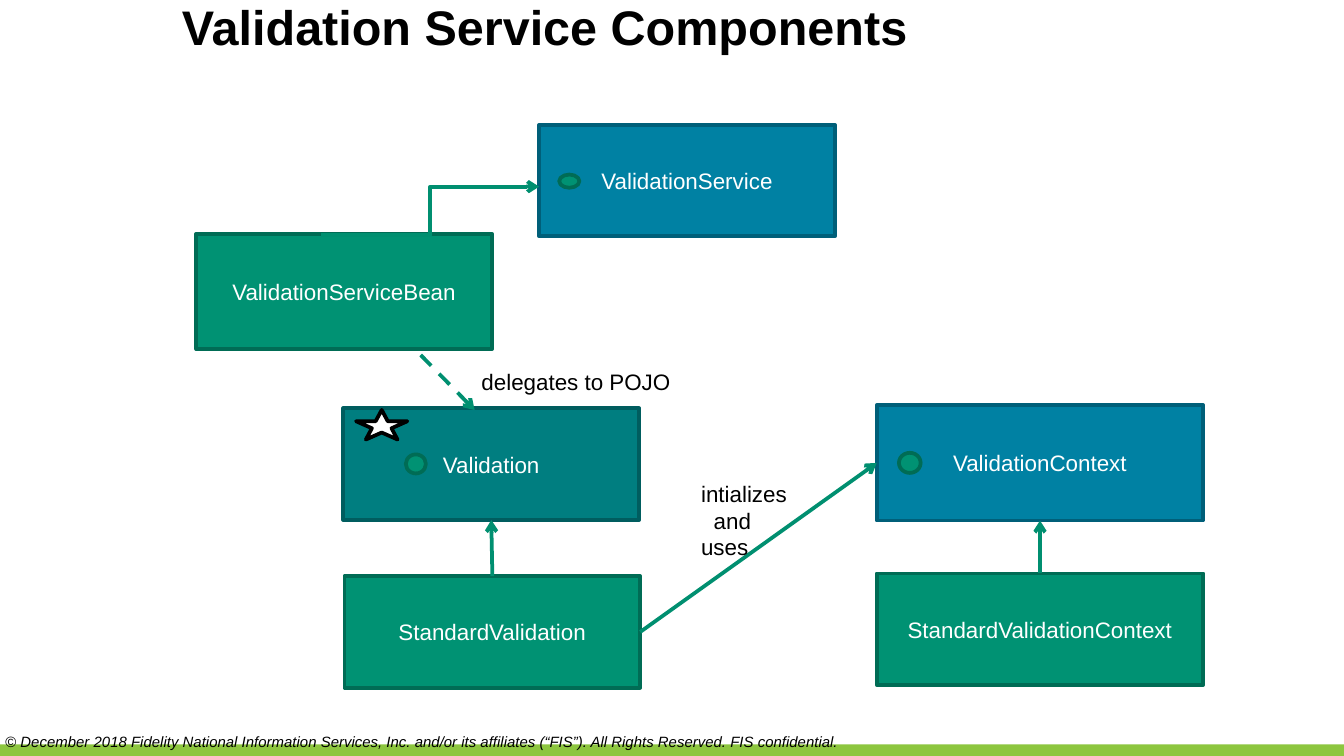
"""Build the validation service component diagram."""
from pptx import Presentation
from pptx import util as u
from pptx.dml.color import RGBColor
from pptx.enum import dml, shapes, text
from pptx.oxml.ns import qn
from lxml import etree

THEME = {
    "font": "Arial", "head": 26, "body": 12, "foot": 8, "edge": 2,
    "ink": "000000", "paper": "FFFFFF", "bar": "8DC63F", "link": "008F70",
    "green": ("009273", "006C55"), "blue": ("0081A3", "005F79"),
    "teal": ("007E80", "005D5F"), "star": ("FFFFFF", "000000"),
}
KIND = shapes.MSO_SHAPE
TITLE = "Validation Service Components"
FOOT = ("© December 2018 Fidelity National Information Services, Inc. and/or its "
        "affiliates (“FIS”). All Rights Reserved. FIS confidential.")
BOXES = [
    ("StandardValidation", "green", (6.51, 10.89, 5.59, 2.11)),
    ("ValidationServiceBean", "green", (3.71, 4.42, 5.59, 2.18)),
    ("ValidationService", "blue", (10.19, 2.36, 5.59, 2.11)),
    ("Validation", "teal", (6.49, 7.72, 5.59, 2.11)),
    ("ValidationContext", "blue", (16.57, 7.66, 6.17, 2.18)),
    ("StandardValidationContext", "green", (16.57, 10.84, 6.17, 2.11)),
]
DOTS = [(10.57, 3.3, 0.38, 0.25), (7.67, 8.59, 0.38, 0.36), (16.99, 8.56, 0.41, 0.38)]
STAR = (6.73, 7.75, 0.97, 0.56)
TOP, LEFT, BOTTOM, RIGHT = range(4)
LINKS = [
    ("StandardValidation", TOP, "Validation", BOTTOM),
    ("StandardValidation", RIGHT, "ValidationContext", LEFT),
    ("StandardValidationContext", TOP, "ValidationContext", BOTTOM),
]
ELBOW = (6.07, 4.45, 10.19, 3.53)
DASHED = (7.95, 6.71, 8.97, 7.75)


def rgb(code):
    """Turn a hex code into a colour."""
    return RGBColor.from_string(code)


def cm(spot):
    """Turn numbers into centimetre lengths."""
    return [u.Cm(n) for n in spot]


def write(shape, words, size=THEME["body"], color=THEME["ink"], bold=False,
          italic=False, align=None, anchor=text.MSO_ANCHOR.TOP, pad=(0.22, 0.1),
          space=None, dents=()):
    """Put formatted paragraphs into a shape."""
    frame = shape.text_frame
    frame.word_wrap, frame.vertical_anchor = True, anchor
    frame.margin_left = frame.margin_right = u.Cm(pad[0])
    frame.margin_top = frame.margin_bottom = u.Cm(pad[1])
    frame.text = words
    for i, para in enumerate(frame.paragraphs):
        para.alignment, para.line_spacing = align, space
        if i < len(dents):
            para._p.get_or_add_pPr().set("marL", str(u.Cm(dents[i])))
        for run in para.runs:
            font = run.font
            font.name, font.size = THEME["font"], u.Pt(size)
            font.bold, font.italic = bold, italic
            font.color.rgb = rgb(color)


def label(slide, words, spot, **style):
    """Add a text box."""
    write(slide.shapes.add_textbox(*cm(spot)), words, **style)


def draw(slide, kind, spot, fill, edge=None):
    """Add a filled preset shape."""
    shape = slide.shapes.add_shape(kind, *cm(spot))
    shape.shadow.inherit = False
    shape.fill.solid()
    shape.fill.fore_color.rgb = rgb(fill)
    if edge:
        shape.line.color.rgb = rgb(edge)
        shape.line.width = u.Pt(THEME["edge"])
    else:
        shape.line.fill.background()
    return shape


def arrow(slide, ends=(0, 0, 0, 0), kind=shapes.MSO_CONNECTOR.STRAIGHT, dash=None):
    """Add a connector with an open arrowhead."""
    link = slide.shapes.add_connector(kind, *cm(ends))
    link.line.color.rgb = rgb(THEME["link"])
    link.line.width = u.Pt(THEME["edge"])
    if dash:
        link.line.dash_style = dash
    etree.SubElement(link.line._get_or_add_ln(), qn("a:tailEnd"), type="arrow")
    etree.SubElement(link._element.spPr, qn("a:effectLst"))
    return link


def main():
    """Compose and save the slide."""
    deck = Presentation()
    deck.slide_width, deck.slide_height = cm((25.4, 14.29))
    slide = deck.slides.add_slide(deck.slide_layouts[6])
    draw(slide, KIND.RECTANGLE, (0, 14.07, 25.4, 0.22), THEME["bar"])
    label(slide, FOOT, (0, 13.74, 24.69, 0.53), size=THEME["foot"], italic=True,
          pad=(0.1, 0.1))
    nodes = {}
    for name, tone, spot in BOXES:
        nodes[name] = draw(slide, KIND.RECTANGLE, spot, *THEME[tone])
        write(nodes[name], name, color=THEME["paper"], align=text.PP_ALIGN.CENTER,
              anchor=text.MSO_ANCHOR.MIDDLE)
    for spot in DOTS:
        draw(slide, KIND.OVAL, spot, *THEME["green"])
    arrow(slide, ELBOW, kind=shapes.MSO_CONNECTOR.ELBOW)
    arrow(slide, DASHED, dash=dml.MSO_LINE.DASH)
    for start, out, end, into in LINKS:
        link = arrow(slide)
        link.begin_connect(nodes[start], out)
        link.end_connect(nodes[end], into)
    label(slide, TITLE, (3.44, 0.15, 18.47, 1.4), size=THEME["head"], bold=True,
          pad=(0, 0), space=0.8)
    label(slide, "delegates to POJO", (8.88, 6.85, 4.3, 0.74))
    label(slide, "intializes\nand\nuses", (13.03, 8.97, 2.95, 1.75), dents=(0, 0.24, 0))
    draw(slide, KIND.STAR_5_POINT, STAR, *THEME["star"])
    deck.save("out.pptx")


if __name__ == "__main__":
    main()
